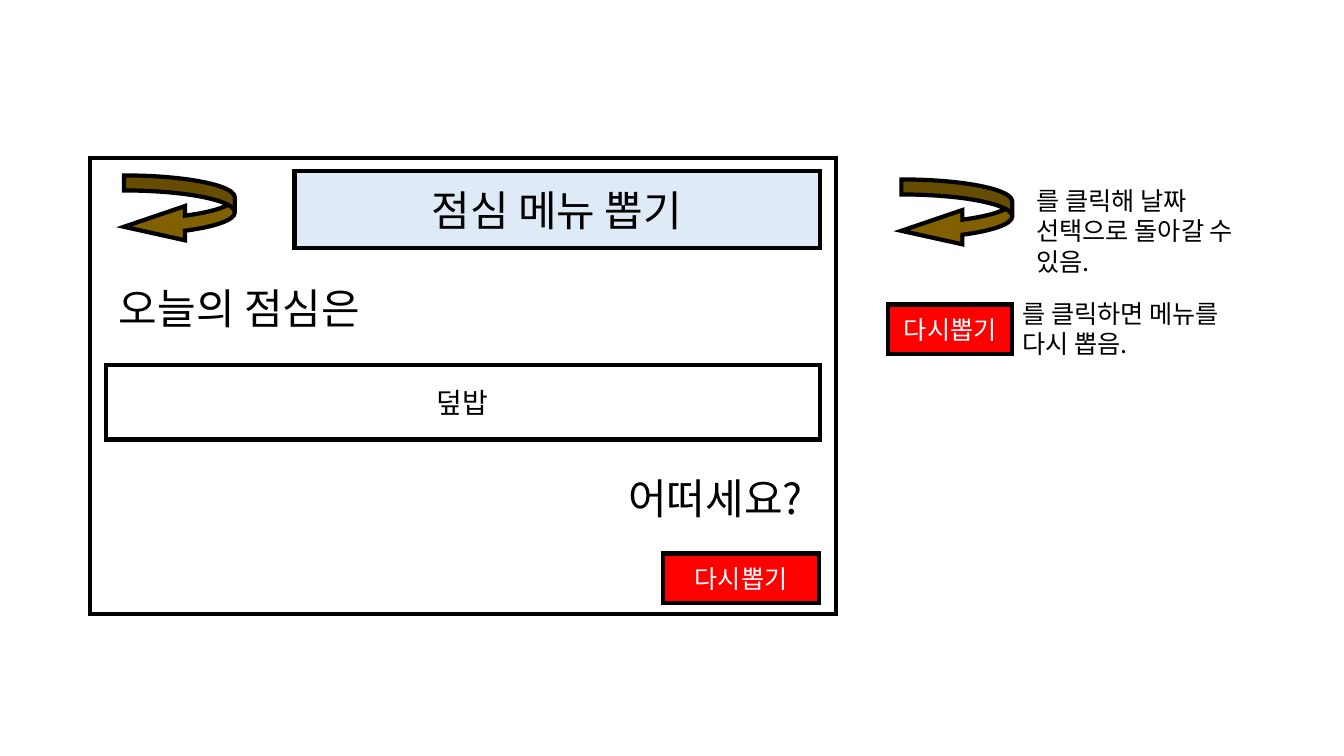
from lxml import etree
from pptx import Presentation
from pptx import util as u
from pptx.dml.color import RGBColor
from pptx.enum import shapes, text
from pptx.oxml import ns

FONT = "Noto Sans CJK KR"
COLORS = {
    "black": "000000",
    "white": "FFFFFF",
    "banner": "DEEBF7",
    "back": "806000",
    "redraw": "FF0000",
}
REDRAW_LABEL = "다시뽑기"


def color(name):
    return RGBColor.from_string(COLORS[name])


def place(item, left, top, width, height):
    item.left, item.top = u.Inches(left), u.Inches(top)
    item.width, item.height = u.Inches(width), u.Inches(height)


def paint(item, fill):
    item.fill.solid()
    item.fill.fore_color.rgb = color(fill)
    item.line.color.rgb = color("black")
    item.line.width = u.Pt(3)
    outline = item.element.spPr.find(ns.qn("a:ln"))
    etree.SubElement(outline, ns.qn("a:miter")).set("lim", "800000")


def write(item, words, size, align, anchor, ink="black"):
    frame = item.text_frame
    frame.text = words
    frame.word_wrap = True
    frame.auto_size = text.MSO_AUTO_SIZE.NONE
    frame.vertical_anchor = anchor
    paragraph = frame.paragraphs[0]
    paragraph.alignment = align
    font = paragraph.runs[0].font
    font.name = FONT
    font.size = u.Pt(size)
    font.color.rgb = color(ink)
    east_asian = etree.SubElement(font._element, ns.qn("a:ea"))
    east_asian.set("typeface", FONT)


def add_block(slide, kind, box, fill):
    block = slide.shapes.add_shape(kind, *map(u.Inches, box))
    block.shadow.inherit = False
    paint(block, fill)
    return block


def add_field(slide, box, fill, words="", size=18, ink="black"):
    field = add_block(slide, shapes.MSO_SHAPE.RECTANGLE, box, fill)
    if words:
        write(field, words, size, text.PP_ALIGN.CENTER, text.MSO_ANCHOR.MIDDLE, ink)


def add_redraw_button(slide, left, top, width):
    add_field(slide, (left, top, width, 0.49), "redraw", REDRAW_LABEL, ink="white")


def add_back_arrow(slide, left, top):
    arrow = add_block(slide, shapes.MSO_SHAPE.CURVED_LEFT_ARROW, (left, top, 1.1, 0.68), "back")
    for index, value in enumerate((0.22, 0.5, 0.89)):
        arrow.adjustments[index] = value


def add_words(slide, box, words, size, align=text.PP_ALIGN.LEFT):
    label = slide.shapes.add_textbox(*map(u.Inches, box))
    write(label, words, size, align, text.MSO_ANCHOR.TOP)


def build_menu_screen(slide, left, top, width, height):
    add_field(slide, (left, top, width, height), "white")
    add_field(slide, (left + 0.16, top + 2.05, 7.08, 0.74), "white", "덮밥", 20)

    banner = slide.shapes.title
    banner.element.getparent().append(banner.element)
    place(banner, left + 2.03, top + 0.13, 5.21, 0.76)
    paint(banner, "banner")
    write(banner, "점심 메뉴 뽑기", 30, text.PP_ALIGN.CENTER, text.MSO_ANCHOR.MIDDLE)

    add_back_arrow(slide, left + 0.34, top + 0.17)
    add_words(slide, (left + 0.19, top + 1.18, 7.03, 0.61), "오늘의 점심은", 30)
    add_words(slide, (left + 0.14, top + 3.07, 7.03, 0.61), "어떠세요?", 30, text.PP_ALIGN.RIGHT)
    add_redraw_button(slide, left + 5.69, top + 3.92, 1.54)


def build_guide(slide, left, top):
    add_back_arrow(slide, left + 0.13, top)
    add_words(slide, (left + 1.37, top + 0.01, 2.52, 0.71), "를 클릭해 날짜 선택으로 돌아갈 수 있음.", 18)
    add_redraw_button(slide, left, top + 1.24, 1.23)
    add_words(slide, (left + 1.23, top + 1.13, 2.45, 0.71), "를 클릭하면 메뉴를 다시 뽑음.", 18)


deck = Presentation()
deck.slide_width, deck.slide_height = u.Inches(13.33), u.Inches(7.5)
menu_slide = deck.slides.add_slide(deck.slide_layouts.get_by_name("Title Only"))
build_menu_screen(menu_slide, 0.89, 1.57, 7.4, 4.52)
build_guide(menu_slide, 8.81, 1.78)
deck.save("out.pptx")
